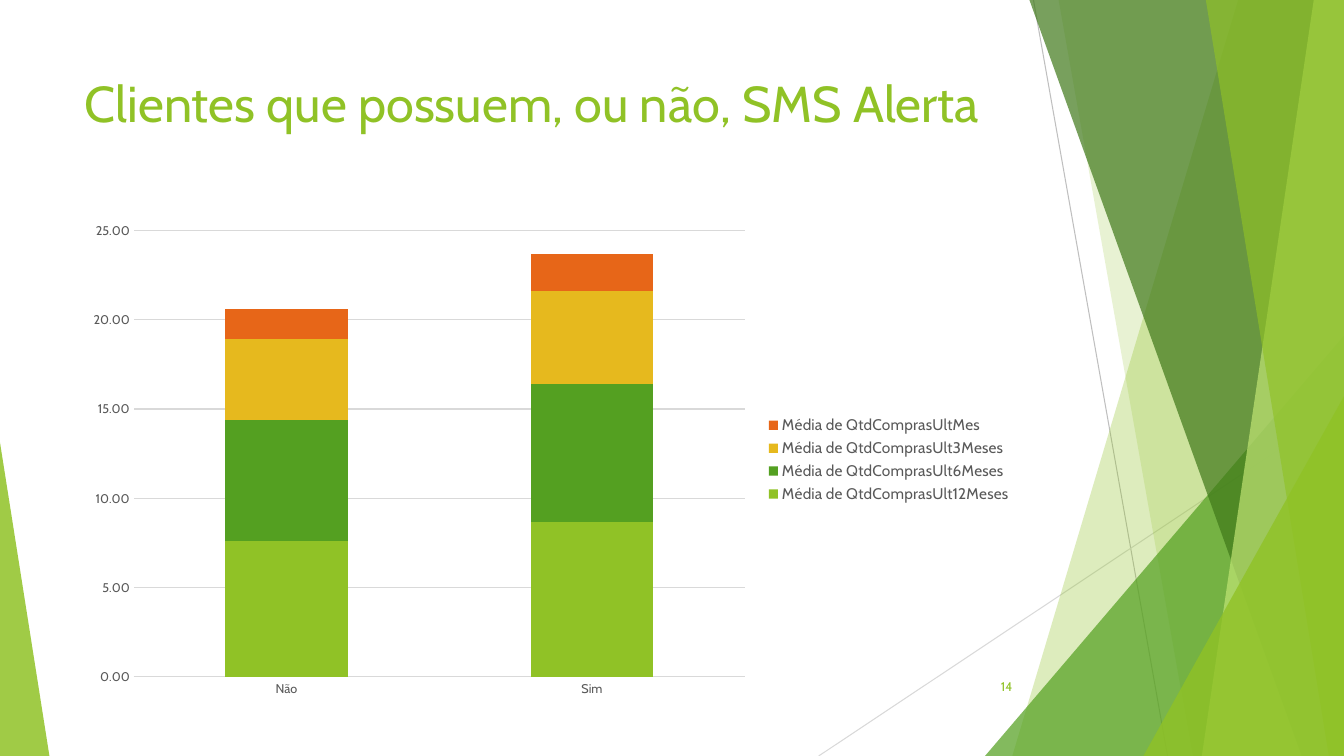
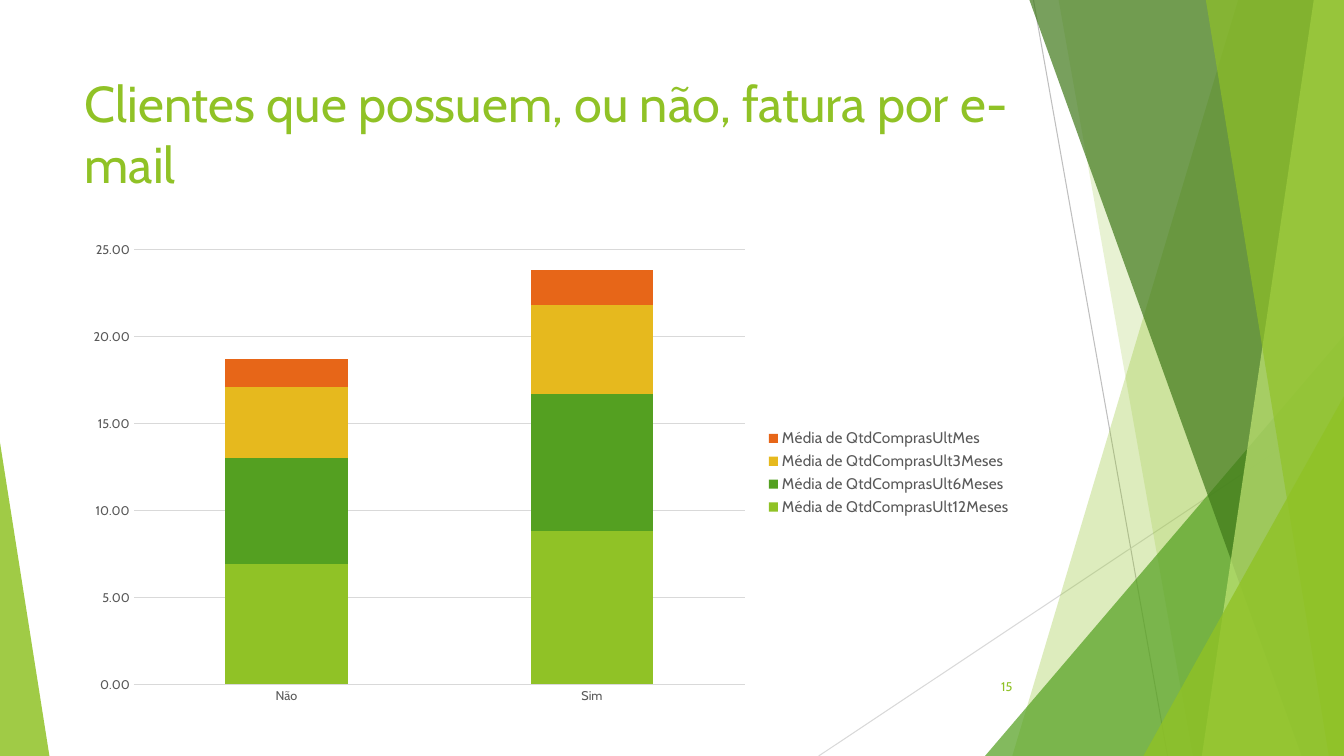
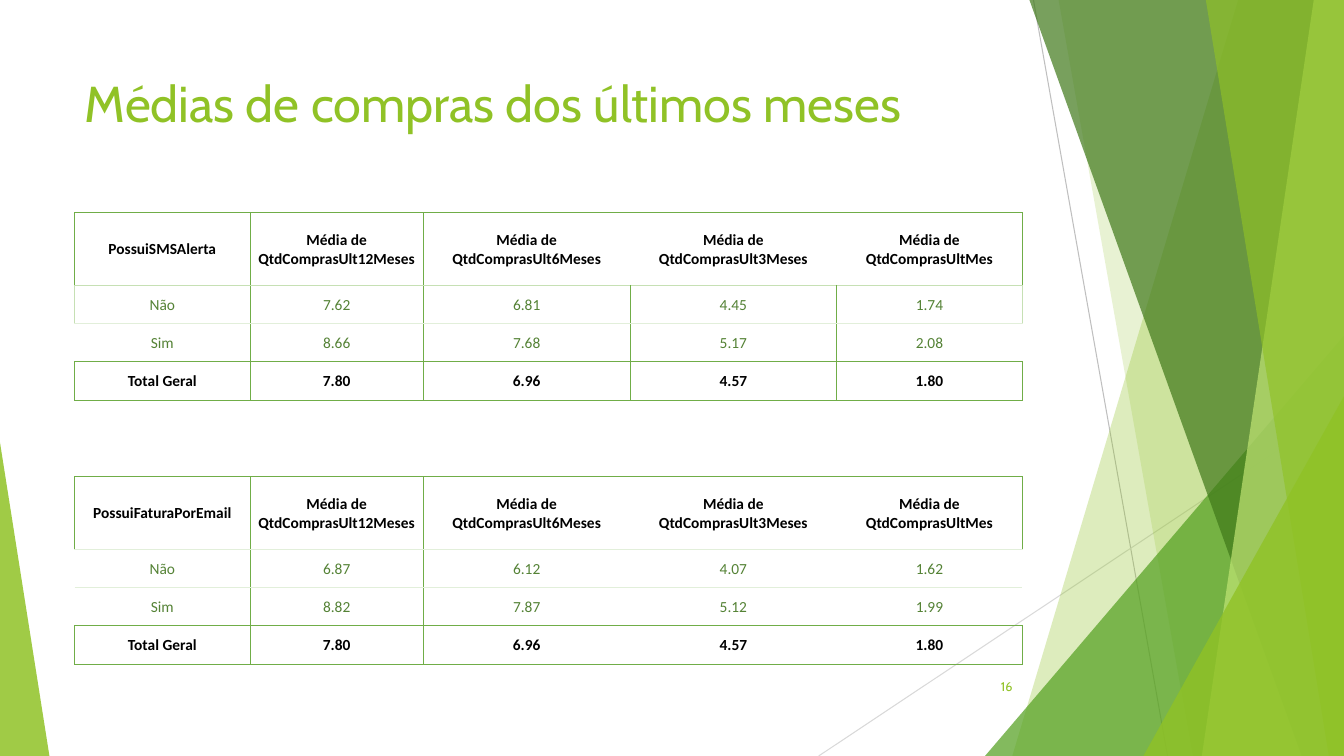
"""Build three slides on average purchases by SMS alert and e-mail invoice."""
from pptx import Presentation
from pptx.chart.data import CategoryChartData
from pptx.dml.color import RGBColor
from pptx.enum.chart import XL_CHART_TYPE, XL_LEGEND_POSITION, XL_TICK_MARK
from pptx.enum.shapes import MSO_CONNECTOR, MSO_SHAPE
from pptx.enum.text import MSO_ANCHOR, MSO_AUTO_SIZE, PP_ALIGN
from pptx.oxml.ns import qn
from pptx.util import Inches, Pt
from lxml import etree

STACKED = XL_CHART_TYPE.COLUMN_STACKED
LEGEND_RIGHT = XL_LEGEND_POSITION.RIGHT
NO_TICK = XL_TICK_MARK.NONE
STRAIGHT = MSO_CONNECTOR.STRAIGHT
TRIANGLE = MSO_SHAPE.ISOSCELES_TRIANGLE
TOP, MIDDLE = MSO_ANCHOR.TOP, MSO_ANCHOR.MIDDLE
LEFT, CENTER, RIGHT = PP_ALIGN.LEFT, PP_ALIGN.CENTER, PP_ALIGN.RIGHT

LIME = RGBColor(0x90, 0xC2, 0x26)
GREEN = RGBColor(0x54, 0xA0, 0x21)
FOREST = RGBColor(0x3F, 0x78, 0x19)
PALE_LIME = RGBColor(0xC0, 0xE4, 0x74)
YELLOW = RGBColor(0xE6, 0xB9, 0x1E)
ORANGE = RGBColor(0xE7, 0x66, 0x18)
GRAY = RGBColor(0xBF, 0xBF, 0xBF)
LIGHT_GRAY = RGBColor(0xD9, 0xD9, 0xD9)
DARK_GRAY = RGBColor(0x59, 0x59, 0x59)
BLACK = RGBColor(0x00, 0x00, 0x00)
TABLE_GREEN = RGBColor(0x70, 0xAD, 0x47)
TABLE_TEXT = RGBColor(0x54, 0x82, 0x35)
TABLE_SOFT = RGBColor(0xC6, 0xE0, 0xB4)
TABLE_PALE = RGBColor(0xE2, 0xEF, 0xDA)

FONT = "Cabin"
TABLE_FONT = "Calibri"
NO_TABLE_STYLE = "{2D5ABB26-0587-4C30-8999-92F81FD0307C}"
WIDTH, HEIGHT = 13.33, 7.5
MARGIN, CONTENT_WIDTH = 0.74, 9.4

MEASURES = [f"Média de QtdComprasUlt{period}" for period in ("12Meses", "6Meses", "3Meses", "Mes")]
SERIES_COLORS = [LIME, GREEN, YELLOW, ORANGE]
SLIDES = [
    ("Clientes que possuem, ou não, SMS Alerta", 2.11, 4.9,
     [(7.6, 8.7), (6.8, 7.7), (4.5, 5.2), (1.7, 2.1)]),
    ("Clientes que possuem, ou não, fatura por e-mail", 2.3, 4.78,
     [(6.9, 8.8), (6.1, 7.9), (4.1, 5.1), (1.6, 2.0)]),
    ("Médias de compras dos últimos meses", 2.11, 4.46, None),
]
FIRST_NUMBER = 14

BANDS = [
    (12.28, 10.04, LIME, 30),
    (10.5, 11.83, LIME, 20),
    (9.77, 3.33, 3.56, 1, GREEN, 72),
    (10.21, 12.91, FOREST, 70),
    (13.03, 11.92, PALE_LIME, 70),
    (11.96, 13.18, LIME, 65),
    (11.34, 3.93, 1.99, 1, LIME, 80),
    (0, 4.39, 0.49, 0, LIME, 85),
]
RAYS = [(10.25, 0, 11.58, HEIGHT, GRAY), (WIDTH, 4.03, 8.12, HEIGHT, LIGHT_GRAY)]

STRONG, THIN = (TABLE_GREEN, 1), (TABLE_GREEN, 0.5)
SOFT, PALE = (TABLE_SOFT, 0.5), (TABLE_PALE, 0.5)
COLUMN_WIDTHS = [1.74, 1.72, 2.05, 2.05, 1.84]
TABLE_ROWS = [
    (["PossuiSMSAlerta", *MEASURES], STRONG, STRONG, SOFT, 1),
    (["Não", "7.62", "6.81", "4.45", "1.74"], SOFT, SOFT, PALE, 4),
    (["Sim", "8.66", "7.68", "5.17", "2.08"], None, PALE, STRONG, 4),
    (["Total Geral", "7.80", "6.96", "4.57", "1.80"], STRONG, STRONG, STRONG, 4),
    ([""] * 5, None, None, None, 0),
    ([""] * 5, None, None, STRONG, 0),
    (["PossuiFaturaPorEmail", *MEASURES], STRONG, STRONG, PALE, 1),
    (["Não", "6.87", "6.12", "4.07", "1.62"], None, PALE, PALE, 1),
    (["Sim", "8.82", "7.87", "5.12", "1.99"], None, PALE, STRONG, 1),
    (["Total Geral", "7.80", "6.96", "4.57", "1.80"], STRONG, STRONG, STRONG, 1),
]


def style_font(font, size, color, name=FONT, bold=False):
    font.name = name
    font.size = Pt(size)
    font.bold = bold
    font.color.rgb = color


def add_border(cell, side, border):
    color, width = border
    line = etree.SubElement(cell._tc.get_or_add_tcPr(), qn(f"a:ln{side}"), w=str(Pt(width)))
    fill = etree.SubElement(line, qn("a:solidFill"))
    etree.SubElement(fill, qn("a:srgbClr"), val=str(color))


deck = Presentation()
deck.slide_width, deck.slide_height = Inches(WIDTH), Inches(HEIGHT)
layout = deck.slide_layouts[5]
for holder in list(layout.placeholders)[1:]:
    holder.element.getparent().remove(holder.element)
pages = [deck.slides.add_slide(layout) for entry in SLIDES]

shapes = pages[0].shapes
backdrop = []
for x1, y1, x2, y2, color in RAYS:
    ray = shapes.add_connector(STRAIGHT, Inches(x1), Inches(y1), Inches(x2), Inches(y2))
    ray.line.color.rgb = color
    ray.line.width = Pt(0.75)
    etree.SubElement(ray.element.spPr, qn("a:effectLst"))
    backdrop.append(ray)
for *geometry, color, opacity in BANDS:
    if len(geometry) == 2:
        top_x, bottom_x = geometry
        outline = shapes.build_freeform(Inches(top_x), 0)
        corners = [(WIDTH, 0), (WIDTH, HEIGHT), (bottom_x, HEIGHT)]
        outline.add_line_segments([(Inches(x), Inches(y)) for x, y in corners])
        band = outline.convert_to_shape()
    else:
        left, top, width, apex = geometry
        band = shapes.add_shape(TRIANGLE, Inches(left), Inches(top), Inches(width), Inches(HEIGHT - top))
        band.adjustments[0] = apex
    band.shadow.inherit = False
    band.line.fill.background()
    band.fill.solid()
    band.fill.fore_color.rgb = color
    tint = next(band.element.spPr.iter(qn("a:srgbClr")))
    etree.SubElement(tint, qn("a:alpha"), val=str(opacity * 1000))
    backdrop.append(band)
for position, shape in enumerate(backdrop, start=2):
    layout.shapes.element.insert(position, shape.element)

for number, (page, (heading, top, height, values)) in enumerate(zip(pages, SLIDES), start=FIRST_NUMBER):
    title = page.shapes.title
    title.left, title.top = Inches(MARGIN), Inches(0.67)
    title.width, title.height = Inches(CONTENT_WIDTH), Inches(1.44)
    title.text_frame.text = heading
    title.text_frame.auto_size = MSO_AUTO_SIZE.NONE
    title.text_frame.vertical_anchor = TOP
    title.text_frame.paragraphs[0].alignment = LEFT
    style_font(title.text_frame.paragraphs[0].runs[0].font, 36, LIME)

    number_box = page.shapes.add_textbox(Inches(9.39), Inches(6.61), Inches(0.75), Inches(0.4))
    number_box.text_frame.word_wrap = True
    number_box.text_frame.vertical_anchor = MIDDLE
    number_box.text_frame.text = str(number)
    number_box.text_frame.paragraphs[0].alignment = RIGHT
    style_font(number_box.text_frame.paragraphs[0].runs[0].font, 9, LIME)

    area = (Inches(MARGIN), Inches(top), Inches(CONTENT_WIDTH), Inches(height))
    if values:
        data = CategoryChartData(number_format="0.00")
        data.categories = ["Não", "Sim"]
        for measure, averages in zip(MEASURES, values):
            data.add_series(measure, averages)
        chart = page.shapes.add_chart(STACKED, *area, data).chart
        style_font(chart.font, 10, BLACK)
        chart.has_title = False
        chart.has_legend = True
        chart.legend.position = LEGEND_RIGHT
        chart.legend.include_in_layout = False
        style_font(chart.legend.font, 11, DARK_GRAY)

        plot = chart.plots[0]
        plot.gap_width, plot.overlap = 150, 100
        plot.vary_by_categories = False
        for series, color in zip(plot.series, SERIES_COLORS):
            series.format.fill.solid()
            series.format.fill.fore_color.rgb = color

        for axis in (chart.category_axis, chart.value_axis):
            axis.major_tick_mark = axis.minor_tick_mark = NO_TICK
            style_font(axis.tick_labels.font, 9, DARK_GRAY)
        scale = chart.value_axis
        scale.minimum_scale, scale.maximum_scale, scale.major_unit = 0, 25, 5
        scale.tick_labels.number_format = "0.00"
        scale.tick_labels.number_format_is_linked = False
        scale.format.line.fill.background()
        for line in (chart.category_axis.format.line, scale.major_gridlines.format.line):
            line.color.rgb = LIGHT_GRAY
            line.width = Pt(0.75)
    else:
        table = page.shapes.add_table(len(TABLE_ROWS), len(COLUMN_WIDTHS), *area).table
        table.first_row = table.horz_banding = False
        next(table._tbl.iter(qn("a:tableStyleId"))).text = NO_TABLE_STYLE
        for column, width in zip(table.columns, COLUMN_WIDTHS):
            column.width = Inches(width)
        last = len(COLUMN_WIDTHS) - 1
        for row, (texts, outer, above, below, dividers) in zip(table.rows, TABLE_ROWS):
            is_header = texts[1:] == MEASURES
            is_body = texts[0] in ("Não", "Sim")
            row.height = Inches(0.72 if is_header else 0.38)
            for index, (cell, text) in enumerate(zip(row.cells, texts)):
                before = outer if index == 0 else THIN if index <= dividers else None
                after = outer if index == last else THIN if index < dividers else None
                for side, border in zip("LRTB", (before, after, above, below)):
                    if border:
                        add_border(cell, side, border)
                cell.fill.background()
                cell.vertical_anchor = MIDDLE
                cell.margin_left = cell.margin_right = cell.margin_top = Inches(0.01)
                cell.margin_bottom = 0
                cell.text_frame.text = text
                para = cell.text_frame.paragraphs[0]
                para.alignment = CENTER
                for span in para.runs:
                    style_font(span.font, 11, TABLE_TEXT if is_body else BLACK, TABLE_FONT, not is_body)

deck.save("out.pptx")
